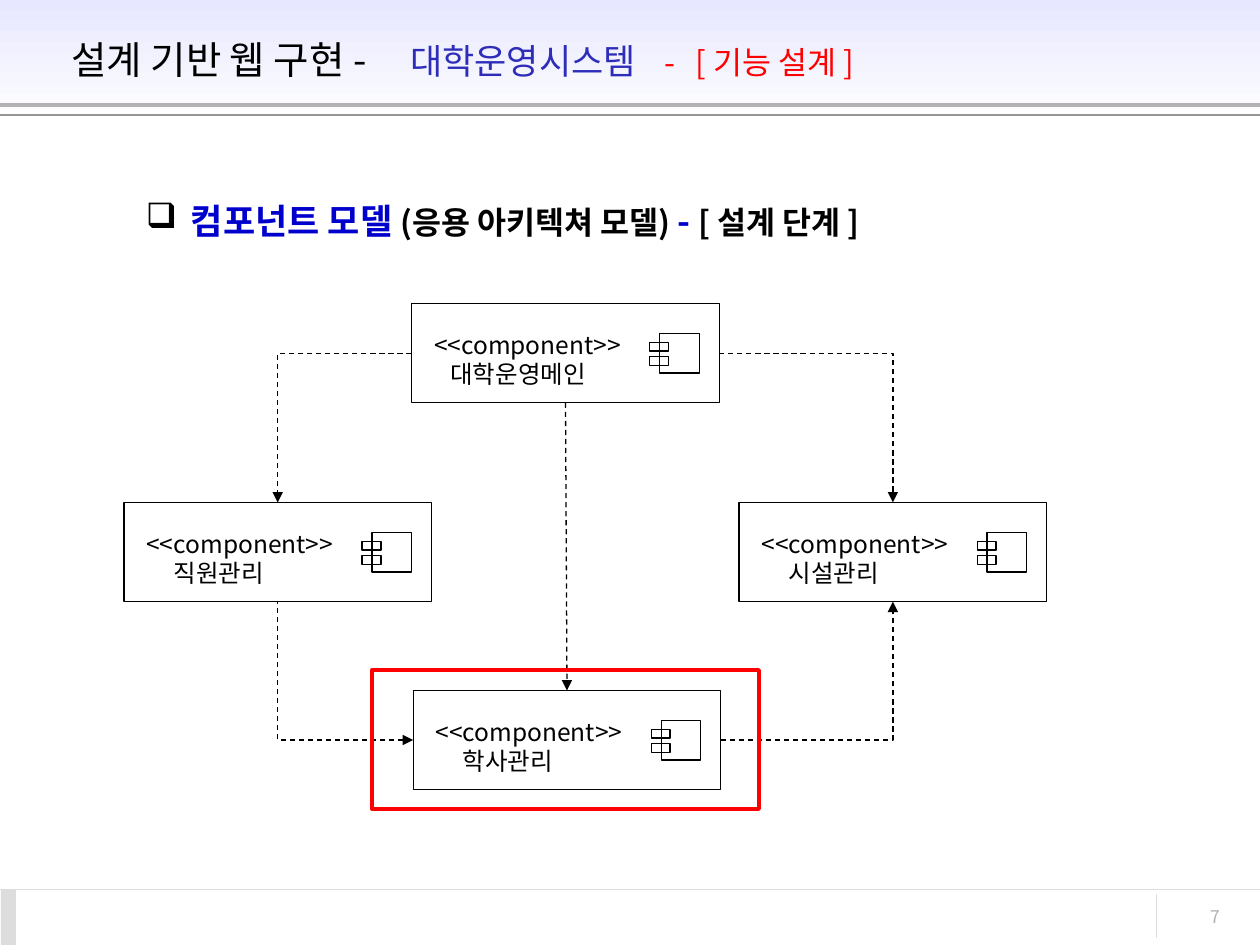
from lxml.etree import SubElement
from pptx import Presentation
from pptx.dml.color import RGBColor
from pptx.enum.dml import MSO_LINE
from pptx.enum.shapes import MSO_CONNECTOR, MSO_SHAPE
from pptx.enum.text import MSO_ANCHOR, PP_ALIGN
from pptx.oxml.ns import qn
from pptx.util import Cm, Pt

BLACK = RGBColor(0x00, 0x00, 0x00)
WHITE = RGBColor(0xFF, 0xFF, 0xFF)
RED = RGBColor(0xFF, 0x00, 0x00)
BLUE = RGBColor(0x00, 0x00, 0xCC)
INDIGO = RGBColor(0x2D, 0x2D, 0xB9)
LAVENDER = RGBColor(0xE7, 0xE7, 0xFF)
PALE_GREY = RGBColor(0xDD, 0xDD, 0xDD)
LIGHT_GREY = RGBColor(0xB2, 0xB2, 0xB2)
MID_GREY = RGBColor(0x96, 0x96, 0x96)
THIN, THICK = 0.75, 2.25
TOP, LEFT, BOTTOM, RIGHT = range(4)


class ComponentPage:
    """Draws the elements of a component diagram on one slide."""

    font_name = "Noto Sans CJK KR"

    def __init__(self, page):
        self.page = page

    def rect(self, left, top, width, height, fill=None, line=None, weight=THIN):
        box = self.page.shapes.add_shape(
            MSO_SHAPE.RECTANGLE, Cm(left), Cm(top), Cm(width), Cm(height))
        box.shadow.inherit = False
        if fill is None:
            box.fill.background()
        else:
            box.fill.solid()
            box.fill.fore_color.rgb = fill
        if line is None:
            box.line.fill.background()
        else:
            box.line.color.rgb = line
            box.line.width = Pt(weight)
        return box

    def gradient_band(self, left, top, width, height, start, end):
        band = self.rect(left, top, width, height)
        band.fill.gradient()
        band.fill.gradient_angle = 270
        for stop, color, position in zip(band.fill.gradient_stops, (start, end), (0, 1)):
            stop.color.rgb = color
            stop.position = position

    def line(self, start, end, color=BLACK, weight=THIN):
        rule = self.page.shapes.add_connector(
            MSO_CONNECTOR.STRAIGHT, *(Cm(value) for value in (*start, *end)))
        rule.line.color.rgb = color
        rule.line.width = Pt(weight)
        SubElement(rule._element.spPr, qn("a:effectLst"))
        return rule

    def arrow(self, start, start_site, end, end_site, preset="bentConnector2",
              arrowhead="a:tailEnd"):
        link = self.line((0, 0), (1, 1))
        link.begin_connect(start, start_site)
        link.end_connect(end, end_site)
        link.line.dash_style = MSO_LINE.DASH
        link._element.spPr.find(qn("a:prstGeom")).set("prst", preset)
        SubElement(link.line._get_or_add_ln(), qn(arrowhead), type="triangle")

    def text(self, left, top, width, height, lines, size, color=BLACK, bold=False):
        box = self.page.shapes.add_textbox(Cm(left), Cm(top), Cm(width), Cm(height))
        frame = box.text_frame
        frame.word_wrap = True
        for index, spans in enumerate(lines):
            para = frame.paragraphs[0] if index == 0 else frame.add_paragraph()
            para.font.size = Pt(size)
            para.font.bold = bold
            para.font.color.rgb = color
            para.font.name = self.font_name
            defaults = para._p.pPr.find(qn("a:defRPr"))
            SubElement(defaults, qn("a:ea"), typeface=self.font_name)
            for words, span_size, span_color in spans:
                span = para.add_run()
                span.text = words
                if span_size != size:
                    span.font.size = Pt(span_size)
                if span_color != color:
                    span.font.color.rgb = span_color
        return frame

    def indent(self, para, margin, first=0.0):
        para._p.pPr.set("marL", str(Cm(margin)))
        para._p.pPr.set("indent", str(Cm(first)))

    def tab_stops(self, para, positions):
        stops = SubElement(para._p.pPr, qn("a:tabLst"))
        para._p.pPr.find(qn("a:defRPr")).addprevious(stops)
        for position in positions:
            SubElement(stops, qn("a:tab"), pos=str(Cm(position)), algn="l")

    def bullet(self, para, char):
        defaults = para._p.pPr.find(qn("a:defRPr"))
        color = SubElement(para._p.pPr, qn("a:buClr"))
        SubElement(color, qn("a:srgbClr"), val=str(BLACK))
        mark = SubElement(para._p.pPr, qn("a:buChar"), char=char)
        defaults.addprevious(color)
        defaults.addprevious(mark)

    def component(self, left, top, name, name_indent):
        box = self.rect(left, top, 6.2, 2, line=BLACK)
        lines = [[("<<component>>", 14, BLACK)], [(name, 14, BLACK)]]
        frame = self.text(left + 0.2, top + 0.4, 5, 1.45, lines, 14)
        self.indent(frame.paragraphs[1], name_indent)
        self.rect(left + 5, top + 0.6, 0.8, 0.8, line=BLACK)
        for offset in (0.78, 1.07):
            self.rect(left + 4.8, top + offset, 0.38, 0.18, line=BLACK)
        return box


deck = Presentation()
deck.slide_width, deck.slide_height = Cm(25.4), Cm(19.05)
sheet = ComponentPage(deck.slides.add_slide(deck.slide_layouts[6]))

sheet.gradient_band(0, 0, 25.4, 2.54, LAVENDER, WHITE)
sheet.line((0, 2.12), (25.4, 2.12), LIGHT_GREY, THICK)
sheet.line((0, 2.32), (25.4, 2.32), MID_GREY)
sheet.line((0, 17.93), (25.4, 17.93), PALE_GREY)
sheet.rect(0.02, 17.93, 0.3, 1.12, fill=PALE_GREY)
sheet.line((23.31, 18.03), (23.31, 18.9), PALE_GREY)
number = sheet.text(22.5, 18.14, 2.34, 0.84, [[("7", 10, LIGHT_GREY)]], 10, LIGHT_GREY)
number.paragraphs[0].alignment = PP_ALIGN.RIGHT

title = sheet.text(1.19, 0.33, 21.92, 1.73, [[
    ("설계 기반 웹 구현 -\t", 22, BLACK),
    ("대학운영시스템\t", 20, INDIGO),
    ("-\t[ 기능 설계 ]", 18, RED)]], 22)
title.vertical_anchor = MSO_ANCHOR.MIDDLE
sheet.tab_stops(title.paragraphs[0], (6.83, 11.95, 12.58))

heading = sheet.text(2.69, 3.73, 17, 1.27, [[
    ("컴포넌트 모델 ", 20, BLUE),
    ("(응용 아키텍쳐 모델) ", 18, BLACK),
    ("- ", 20, BLUE),
    ("[ 설계 단계 ]", 18, BLACK)]], 20, BLUE, bold=True).paragraphs[0]
heading.line_spacing = 1.2
heading.space_before = Pt(2.2)
sheet.indent(heading, 0.91, -0.91)
sheet.bullet(heading, "❑")

main = sheet.component(8.3, 6.12, "대학운영메인", 0.33)
staff = sheet.component(2.5, 10.13, "직원관리", 0.55)
academic = sheet.component(8.33, 13.92, "학사관리", 0.55)
facility = sheet.component(14.9, 10.13, "시설관리", 0.55)

sheet.arrow(main, LEFT, staff, TOP)
sheet.arrow(main, BOTTOM, academic, TOP, preset="straightConnector1")
sheet.arrow(main, RIGHT, facility, TOP)
sheet.arrow(academic, LEFT, staff, BOTTOM, arrowhead="a:headEnd")
sheet.arrow(academic, RIGHT, facility, BOTTOM)
sheet.rect(7.5, 13.51, 7.8, 2.8, line=RED, weight=THICK)

deck.save("out.pptx")
